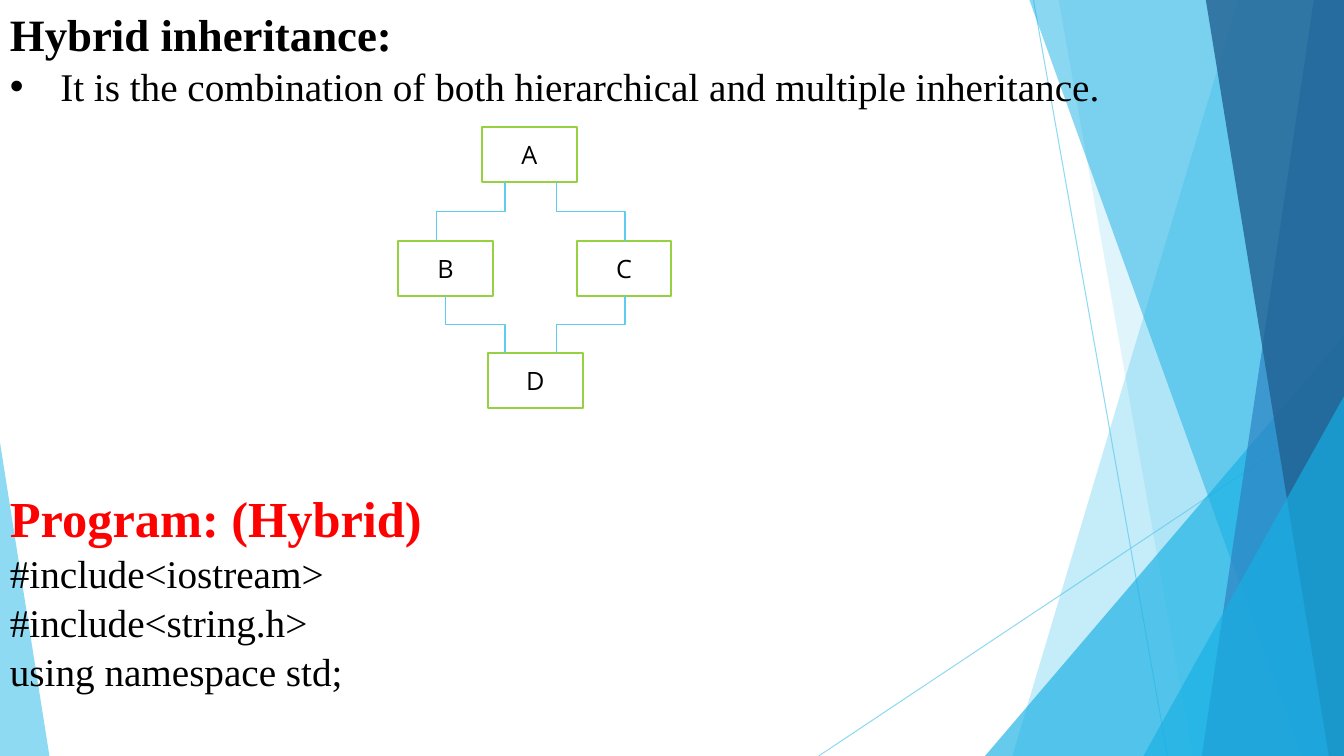
from lxml.etree import SubElement
from pptx import Presentation
from pptx.dml.color import RGBColor
from pptx.enum.shapes import MSO_CONNECTOR, MSO_SHAPE
from pptx.enum.text import MSO_ANCHOR, PP_ALIGN
from pptx.oxml.ns import qn
from pptx.util import Inches, Pt

COLS, ROWS = 1333, 750
UNIT = Inches(0.01)
SKY, CYAN, BLUE, NAVY, GREEN = "5FCBEF", "17B0E4", "2E83C3", "226292", "96D141"


def grid(*cells):
    """Turn grid columns and rows into slide lengths."""
    return [int(c * UNIT) for c in cells]


def paint(fmt, color, alpha=100):
    """Give a fill a solid colour with an opacity in percent."""
    fmt.solid()
    fmt.fore_color.rgb = RGBColor.from_string(color)
    if alpha < 100:
        clr = fmt._xPr.find(qn("a:solidFill"))[0]
        SubElement(clr, qn("a:alpha"), val=str(alpha * 1000))


def write(p, text, **font):
    """Add a run with the given font values."""
    r = p.add_run()
    r.text = text
    color = font.pop("color", "000000")
    for key, value in font.items():
        setattr(r.font, key, value)
    r.font.color.rgb = RGBColor.from_string(color)


def finish(sp, color, alpha=100):
    """Make a shape flat, without outline."""
    sp.shadow.inherit = False
    paint(sp.fill, color, alpha)
    sp.line.fill.background()


def line(s, kind, ends, width, alpha=100):
    """Draw a flat sky-blue connector."""
    c = s.shapes.add_connector(kind, *grid(*ends))
    c.line.width = Pt(width)
    paint(c.line.fill, SKY, alpha)
    SubElement(c._element.spPr, qn("a:effectLst"))
    return c


def facet(s, box, top, bottom, color, alpha):
    """Draw a band from two left-hand columns to the right edge of the box."""
    x, y, w, h = box
    fb = s.shapes.build_freeform(*grid(x + top, y), scale=1.0)
    corners = [(x + w, y), (x + w, y + h), (x + bottom, y + h)]
    fb.add_line_segments([grid(*c) for c in corners], close=True)
    finish(fb.convert_to_shape(), color, alpha)


def wedge(s, box, width, height, peak, color, alpha):
    """Draw a right triangle in a bottom corner; peak 0 is left, 1 is right."""
    x, y, w, h = box
    at = grid(x + peak * (w - width), y + h - height, width, height)
    sp = s.shapes.add_shape(MSO_SHAPE.ISOSCELES_TRIANGLE, *at)
    sp.adjustments[0] = peak
    finish(sp, color, alpha)


def backdrop(s, box):
    """Draw the layered facets along the slide's sides."""
    x, y, w, h = box
    for x1, y1, x2 in [(1025, 0, 1158), (w, 403, 812)]:
        line(s, MSO_CONNECTOR.STRAIGHT, (x + x1, y + y1, x + x2, y + h), 0.75, 70)
    for draw, *spec in [
        (facet, 1228, 1004, SKY, 36),
        (facet, 1050, 1183, SKY, 20),
        (wedge, 356, 417, 1, CYAN, 66),
        (facet, 1021, 1291, CYAN, 50),
        (facet, 1303, 1192, BLUE, 70),
        (facet, 1196, 1318, NAVY, 80),
        (wedge, 199, 357, 1, CYAN, 66),
        (wedge, 49, 311, 0, SKY, 70),
    ]:
        draw(s, box, *spec)


def body(s, box):
    """Write the heading, the bullet and the program lines."""
    tf = s.shapes.add_textbox(*grid(*box)).text_frame
    tf.word_wrap = True
    code = ["#include<iostream>", "#include<string.h>", "using namespace std;"]
    rows = [
        ("Hybrid inheritance:", dict(size=Pt(32), bold=True)),
        ("It is the combination of both hierarchical and multiple inheritance.",
         dict(size=Pt(28))),
        ("Program: (Hybrid)", dict(size=Pt(36), bold=True, color="FF0000")),
    ] + [(text, dict(size=Pt(28))) for text in code]
    for i, (text, font) in enumerate(rows):
        p = tf.paragraphs[0] if i == 0 else tf.add_paragraph()
        p.line_spacing = 1.04
        write(p, text, name="Times New Roman", **font)
    bullet, program = tf.paragraphs[1:3]
    program.space_before = Pt(268)
    pPr = bullet._p.get_or_add_pPr()
    pPr.set("marL", str(Inches(0.5)))
    pPr.set("indent", str(-Inches(0.5)))
    SubElement(pPr, qn("a:buFont"), typeface="Arial")
    SubElement(pPr, qn("a:buChar"), char="•")


def node(s, box, name):
    """Draw one class box."""
    sp = s.shapes.add_shape(MSO_SHAPE.RECTANGLE, *grid(*box))
    finish(sp, "FFFFFF")
    paint(sp.line.fill, GREEN)
    sp.line.width = Pt(1.5)
    tf = sp.text_frame
    tf.vertical_anchor = MSO_ANCHOR.MIDDLE
    p = tf.paragraphs[0]
    p.alignment = PP_ALIGN.CENTER
    write(p, name, name="Open Sans", size=Pt(18))


def drop(s, x1, y1, x2, y2):
    """Draw an elbow that leaves and arrives vertically."""
    cx, cy = (x1 + x2) / 2, (y1 + y2) / 2
    dx, dy = abs(x2 - x1) / 2, (y2 - y1) / 2
    side = 1 if x2 > x1 else -1
    ends = (cx + side * dy, cy - dx, cx - side * dy, cy + dx)
    c = line(s, MSO_CONNECTOR.ELBOW, ends, 1)
    c._element.spPr.find(qn("a:xfrm")).set("rot", str((180 + side * 90) * 60000))


def diamond(s, box):
    """Draw the inheritance diagram of classes A to D."""
    x, y, w, h = box
    nw, nh, mid = 94, 55, 113
    for name, left, top in [("A", 83, 0), ("B", 0, mid), ("C", w - nw, mid),
                            ("D", 89, h - nh)]:
        node(s, (x + left, y + top, nw, nh), name)
    for start, end in [(157, 225), (106, 38)]:
        drop(s, x + start, y + nh, x + end, y + mid)
    for start, end in [(47, 106), (225, 157)]:
        drop(s, x + start, y + mid + nh, x + end, y + h - nh)


def main():
    """Build the slide and save it."""
    prs = Presentation()
    prs.slide_width, prs.slide_height = grid(COLS, ROWS)
    s = prs.slides.add_slide(prs.slide_layouts[6])
    page = (0, 0, COLS, ROWS)
    backdrop(s, page)
    body(s, page)
    diamond(s, (395, 126, 271, 279))
    prs.save("out.pptx")


if __name__ == "__main__":
    main()
